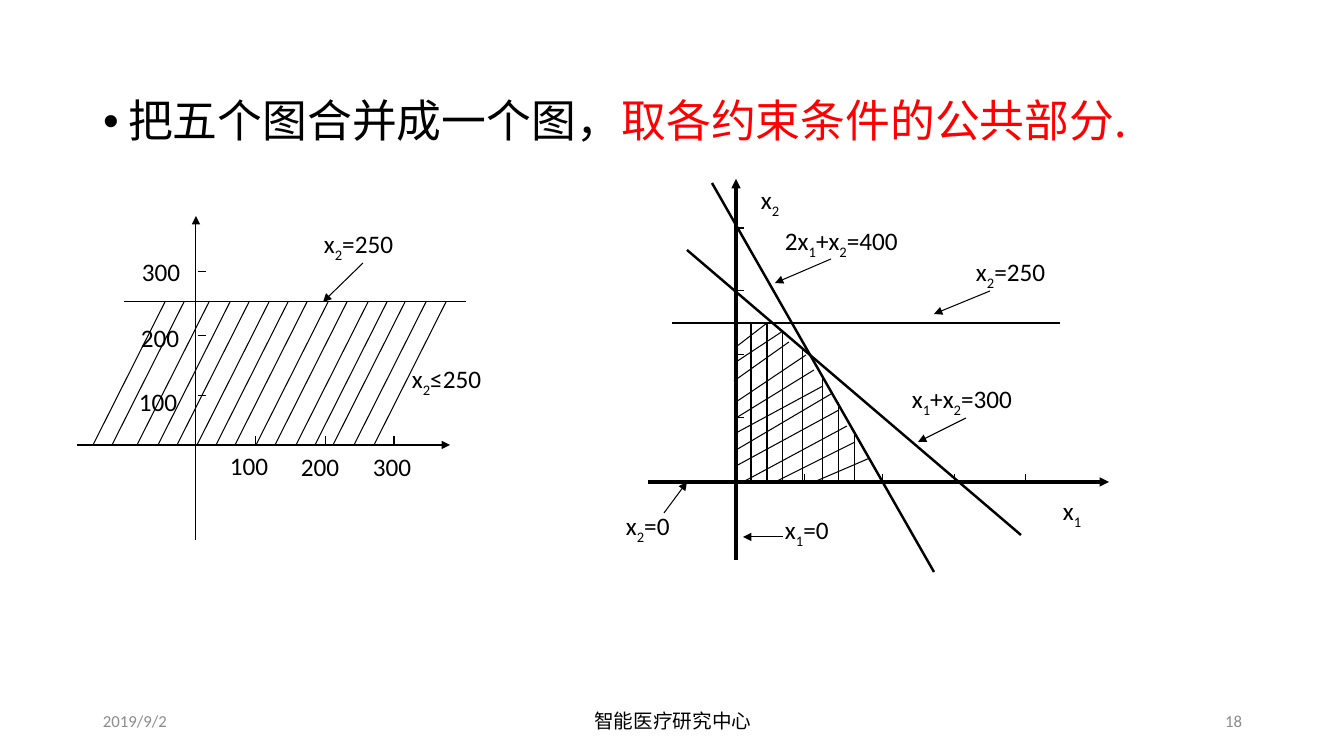
from lxml.etree import SubElement
from pptx import Presentation
from pptx.dml.color import RGBColor
from pptx.enum.shapes import MSO_CONNECTOR
from pptx.enum.text import MSO_ANCHOR, MSO_AUTO_SIZE, PP_ALIGN
from pptx.oxml.ns import qn
from pptx.util import Pt

SCALE = 914400 / 100.8  # EMU per pixel
BLACK, RED, GRAY = "000000", "FF0000", "8C8C8C"
THIN, MEDIUM, THICK = 0.75, 1.75, 2.25

# Content: body runs and footer (text, left, width, format)
BODY = [("把五个图合并成一个图，", BLACK), ("取各约束条件的公共部分.", RED)]
FOOTER = [
    ("2019/9/2", 93, 302, dict(size=12, color=GRAY)),
    ("智能医疗研究中心", 446, 454,
     dict(size=14, font="Noto Sans CJK SC", align=PP_ALIGN.CENTER)),
    ("18", 950, 302, dict(size=12, color=GRAY, align=PP_ALIGN.RIGHT)),
]

# Left diagram: the strip x2 <= 250; "_" lowers the next character
STRIP_TOP, STRIP_BASE, STRIP_SLANT = 302, 445, 72
STRIP_AXES = [(196, 540, 196, 216), (77, STRIP_BASE, 450, STRIP_BASE)]
STRIP_HATCH_TOPS = [165, 184, 209, 230, 249, 269, 288, 307,
                    328, 347, 368, 387, 405, 426, 446]
STRIP_X_TICKS = [256, 326, 394]
STRIP_Y_TICKS = [272, 336, 396]
STRIP_ARROWS = [(363, 263, 323, STRIP_TOP)]
STRIP_LABELS = [
    ("300", 132, 251, 68), ("200", 131, 317, 68), ("100", 129, 381, 68),
    ("100", 220, 445, 68), ("200", 291, 446, 68), ("300", 363, 446, 68),
    ("x_2≤250", 402, 358, 135), ("x_2=250", 314, 223, 119),
]

# Right diagram: the region common to all constraints
REGION_LEFT, REGION_BASE = 736, 482
REGION_AXES = [(REGION_LEFT, 560, REGION_LEFT, 179),
               (648, REGION_BASE, 1109, REGION_BASE)]
REGION_X_TICKS = [805, 883, 955, 1026]
REGION_Y_TICKS = [228, 291, 355, 418]
CONSTRAINTS = [(687, 250, 1021, 535), (712, 183, 934, 572), (672, 323, 1060, 323)]
VERTICAL_HATCH = [(751, 323), (767, 323), (783, 331), (803, 347),
                  (823, 378), (839, 402), (855, 433)]
SLOPED_HATCH = [
    (736, 347, 767, 323), (736, 362, 783, 331), (734, 381, 789, 342),
    (736, 402, 806, 355), (736, 418, 814, 370), (736, 433, 823, 386),
    (736, 450, 831, 394), (736, 466, 839, 410), (743, 482, 847, 426),
    (775, 482, 855, 442), (814, 482, 870, 458),
]
REGION_ARROWS = [
    (831, 259, 775, 283), (966, 418, 918, 442), (990, 291, 934, 314),
    (664, 513, 687, 482), (783, 537, 743, 537),
]
REGION_LABELS = [
    ("x_1", 1053, 490, 55), ("x_2", 751, 179, 55),
    ("x_2=0", 616, 505, 88), ("x_1=0", 775, 509, 88),
    ("x_2=250", 966, 251, 111), ("x_1+x_2=300", 902, 378, 150),
    ("2x_1+x_2=400", 775, 220, 166),
]


def px(value):
    return round(value * SCALE)


def rgb(color):
    return RGBColor.from_string(color)


def write(paragraph, text, size=18, font="Calibri", color=BLACK,
          align=PP_ALIGN.LEFT):
    paragraph.alignment = align
    first, *others = text.split("_")
    pieces = [(first, False)]
    for other in others:
        pieces += [(other[0], True), (other[1:], False)]
    for piece, lowered in pieces:
        if not piece:
            continue
        run = paragraph.add_run()
        run.text = piece
        run.font.size = Pt(size)
        run.font.name = font
        run.font.color.rgb = rgb(color)
        properties = run._r.get_or_add_rPr()
        SubElement(properties, qn("a:ea"), typeface=font)
        if lowered:
            properties.set("baseline", "-30000")


def add_text(shapes, text, left, top, width, height,
             anchor=MSO_ANCHOR.TOP, **text_format):
    box = shapes.add_textbox(px(left), px(top), px(width), px(height))
    frame = box.text_frame
    frame.word_wrap = True
    frame.vertical_anchor = anchor
    write(frame.paragraphs[0], text, **text_format)


def add_lines(shapes, lines, width=THIN, arrow=False):
    for ends in lines:
        connector = shapes.add_connector(MSO_CONNECTOR.STRAIGHT, *map(px, ends))
        connector.line.width = Pt(width)
        connector.line.color.rgb = rgb(BLACK)
        if arrow:
            SubElement(connector.line._get_or_add_ln(), qn("a:tailEnd"),
                       type="triangle")
        SubElement(connector._element.spPr, qn("a:effectLst"))


def add_labels(shapes, labels):
    for text, left, top, width in labels:
        height = 43 if "_" in text else 40
        add_text(shapes, text, left, top, width, height)


def ticks(x_values, y_values, left, base):
    return ([(x, base, x, base - 8) for x in x_values]
            + [(left, y, left + 8, y) for y in y_values])


presentation = Presentation()
presentation.slide_width, presentation.slide_height = px(1344), px(756)
slide = presentation.slides.add_slide(presentation.slide_layouts[1])

# Body statement
title = slide.shapes.title
title._element.getparent().remove(title._element)
body = slide.placeholders[1]
body.left, body.top, body.width, body.height = map(px, (93, 94, 1159, 587))
body.text_frame.auto_size = MSO_AUTO_SIZE.NONE
statement = body.text_frame.paragraphs[0]
for text, color in BODY:
    write(statement, text, size=32, font="Noto Sans CJK JP", color=color)
statement.line_spacing = 0.9
statement.space_before = Pt(10)
indents = statement._p.get_or_add_pPr()
indents.set("marL", str(px(25)))
indents.set("indent", str(px(-25)))
SubElement(indents, qn("a:buFont"), typeface="Arial")
SubElement(indents, qn("a:buChar"), char="•")

# Footer
for text, left, width, text_format in FOOTER:
    add_text(slide.shapes, text, left, 701, width, 40,
             anchor=MSO_ANCHOR.MIDDLE, **text_format)

# Left diagram
strip = slide.shapes.add_group_shape().shapes
add_lines(strip, STRIP_AXES + STRIP_ARROWS, arrow=True)
add_lines(strip, ticks(STRIP_X_TICKS, STRIP_Y_TICKS, 198, STRIP_BASE - 1))
add_lines(strip, [(124, STRIP_TOP, 466, STRIP_TOP)])
add_lines(strip, [(x, STRIP_TOP, x - STRIP_SLANT, STRIP_BASE)
                  for x in STRIP_HATCH_TOPS])
add_labels(strip, STRIP_LABELS)

# Right diagram
region = slide.shapes.add_group_shape().shapes
add_lines(region, REGION_AXES, THICK, arrow=True)
add_lines(region, ticks(REGION_X_TICKS, REGION_Y_TICKS, REGION_LEFT, REGION_BASE))
add_lines(region, CONSTRAINTS, MEDIUM)
add_lines(region, [(x, REGION_BASE, x, top) for x, top in VERTICAL_HATCH])
add_lines(region, SLOPED_HATCH)
add_labels(region, REGION_LABELS)
add_lines(region, REGION_ARROWS, arrow=True)

presentation.save("out.pptx")
